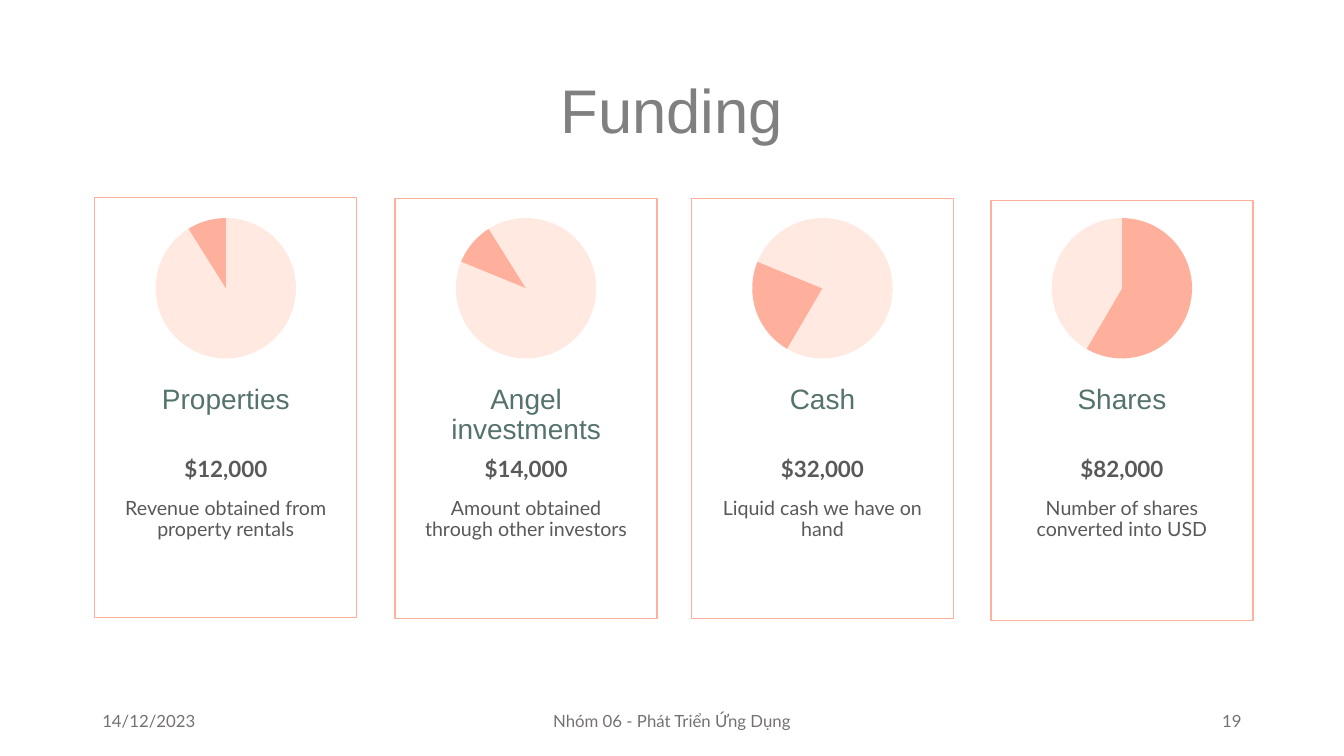
from pptx import Presentation
from pptx.chart.data import CategoryChartData
from pptx.dml.color import RGBColor
from pptx.enum import chart as charts, shapes, text
from pptx.oxml import parse_xml
from pptx.oxml.ns import nsdecls
from pptx.util import Pt

COLORS = {
    "title": "808080", "heading": "55736D", "body": "595959", "footer": "767171",
    "accent": "FFB09D", "pale": "FFE9E0", "black": "000000",
}
CARD_WIDTH, CARD_HEIGHT = 187.2, 300.2
TEXT_WIDTH = 162
CHART_WIDTH = 143.3
SHARES = (59, 23, 10, 9)

# Left, top, highlighted slice, heading, amount, description
CARDS = (
    (67.7, 141.1, 3, "Properties", "$12,000", "Revenue obtained from property rentals"),
    (282.2, 141.8, 2, "Angel investments", "$14,000", "Amount obtained through other investors"),
    (493.9, 141.8, 1, "Cash", "$32,000", "Liquid cash we have on hand"),
    (707.8, 143.3, 0, "Shares", "$82,000", "Number of shares converted into USD"),
)
FOOTERS = (
    (66, 216, "14/12/2023", text.PP_ALIGN.LEFT),
    (318, 324, "Nhóm 06 - Phát Triển Ứng Dụng", text.PP_ALIGN.CENTER),
    (678, 216, "19", text.PP_ALIGN.RIGHT),
)


def color(name):
    return RGBColor.from_string(COLORS[name])


def style_paragraph(para, size, shade, font="Lato", bold=False,
                    align=text.PP_ALIGN.CENTER, spacing=0.9):
    para.alignment = align
    para.line_spacing = spacing
    para.space_before = Pt(0)
    para.font.size = Pt(size)
    para.font.name = font
    para.font.bold = bold
    para.font.color.rgb = color(shade)


def add_title(page, wording):
    title = page.shapes.title
    title.left, title.top, title.width, title.height = Pt(66), Pt(28.8), Pt(828), Pt(104.4)
    title.text_frame.text = wording
    title.text_frame.vertical_anchor = text.MSO_ANCHOR.MIDDLE
    style_paragraph(title.text_frame.paragraphs[0], 44, "title", "Arial")


def add_text(page, wording, left, top, width, height, size, shade,
             anchor=text.MSO_ANCHOR.TOP, **style):
    box = page.shapes.add_textbox(Pt(left), Pt(top), Pt(width), Pt(height))
    box.text_frame.word_wrap = True
    box.text_frame.vertical_anchor = anchor
    box.text_frame.text = wording
    style_paragraph(box.text_frame.paragraphs[0], size, shade, **style)


def add_frame(page, left, top):
    frame = page.shapes.add_shape(shapes.MSO_SHAPE.RECTANGLE, Pt(left), Pt(top),
                                  Pt(CARD_WIDTH), Pt(CARD_HEIGHT))
    frame.shadow.inherit = False
    frame.fill.background()
    frame.line.color.rgb = color("accent")
    frame.line.width = Pt(1)


def add_pie(page, left, highlight):
    data = CategoryChartData()
    data.categories = ["1", "2", "3", "4"]
    data.add_series("Series 1", SHARES)
    pie = page.shapes.add_chart(charts.XL_CHART_TYPE.PIE, Pt(left), Pt(146.2),
                                Pt(CHART_WIDTH), Pt(119.5), data).chart
    pie.has_legend = False
    pie.has_title = False
    pie.font.size = Pt(10)
    pie.font.name = "Lato"
    pie.font.color.rgb = color("black")
    plot = pie.plots[0]
    plot.vary_by_categories = False
    for index in range(len(SHARES)):
        slice_format = plot.series[0].points[index].format
        slice_format.fill.solid()
        slice_format.fill.fore_color.rgb = color("accent" if index == highlight else "pale")
        slice_format.line.fill.background()

    # Fix the pie's size inside the chart area
    area = pie._chartSpace.chart.plotArea
    for layout in area.findall("c:layout", {"c": area.nsmap["c"]}):
        area.remove(layout)
    area.insert(0, parse_xml(
        f'<c:layout {nsdecls("c")}><c:manualLayout><c:layoutTarget val="inner"/>'
        '<c:xMode val="edge"/><c:yMode val="edge"/><c:x val="0.15"/><c:y val="0.08"/>'
        '<c:w val="0.7"/><c:h val="0.84"/></c:manualLayout></c:layout>'))


def add_card(page, left, top, highlight, heading, amount, description):
    add_frame(page, left, top)
    add_pie(page, left + (CARD_WIDTH - CHART_WIDTH) / 2, highlight)
    inner = left + (CARD_WIDTH - TEXT_WIDTH) / 2
    add_text(page, heading, inner, 271.4, TEXT_WIDTH, 50.4, 20, "heading", font="Arial")
    add_text(page, amount, inner, 324, TEXT_WIDTH, 28.8, 16, "body", bold=True)
    add_text(page, description, inner, 352.8, TEXT_WIDTH, 72, 14, "body")


def main():
    deck = Presentation()
    deck.slide_width, deck.slide_height = Pt(960), Pt(540)
    page = deck.slides.add_slide(deck.slide_layouts.get_by_name("Title Only"))

    # Title and funding cards
    add_title(page, "Funding")
    for card in CARDS:
        add_card(page, *card)

    # Footer line
    for left, width, wording, align in FOOTERS:
        add_text(page, wording, left, 500.4, width, 28.8, 12, "footer",
                 anchor=text.MSO_ANCHOR.MIDDLE, align=align, spacing=1.0)

    deck.save("out.pptx")


if __name__ == "__main__":
    main()
